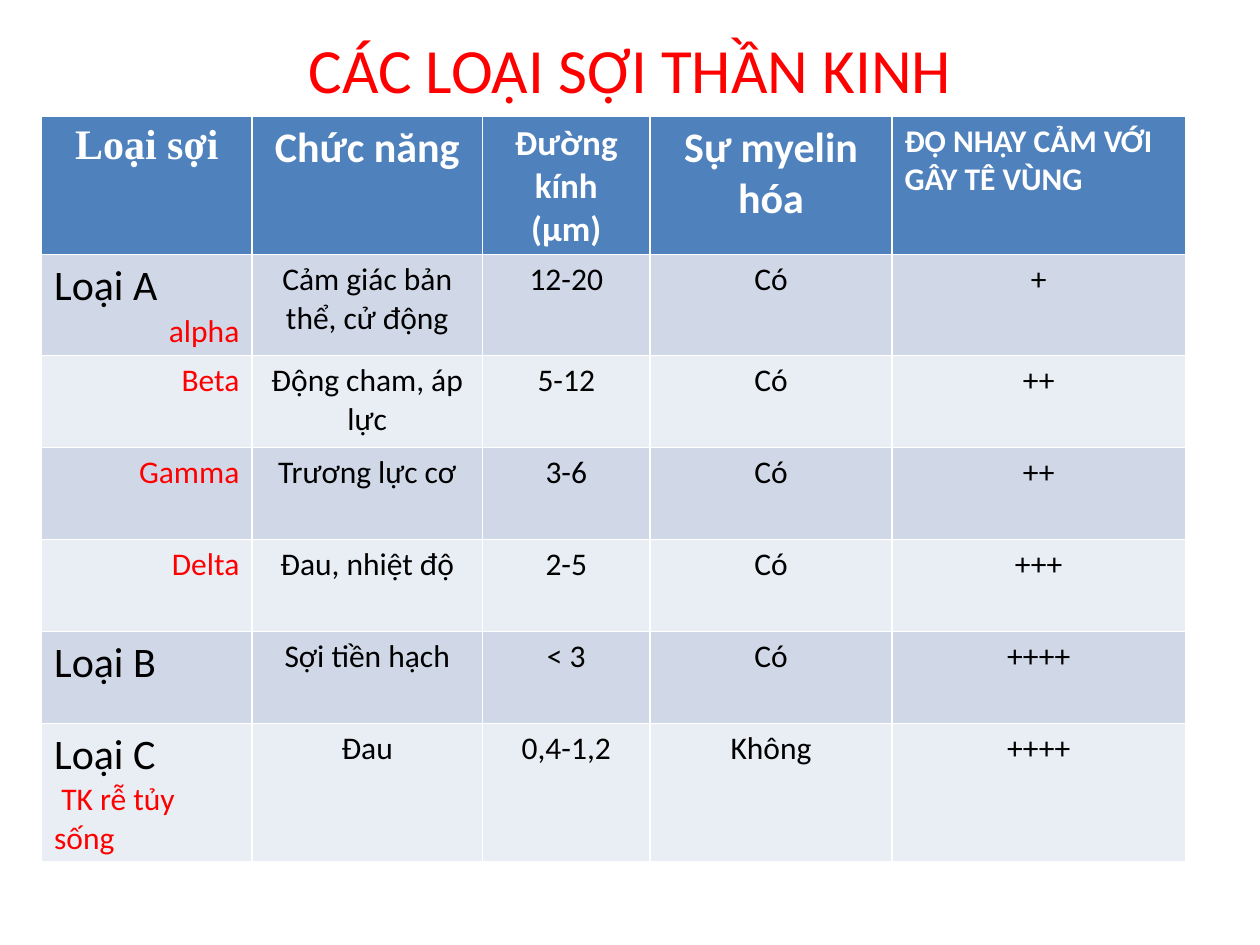
from pptx import Presentation
from pptx import util as u
from pptx.dml import color
from pptx.enum import text

LEFT, CENTER, RIGHT = text.PP_ALIGN.LEFT, text.PP_ALIGN.CENTER, text.PP_ALIGN.RIGHT
WHITE, BLACK, RED = "FFFFFF", "000000", "FF0000"
HEADER_FILL, BAND_FILLS = "4F81BD", ("D0D8E8", "E9EDF4")
COLUMN_WIDTHS = (1.67, 1.83, 1.33, 1.92, 2.33)
ROW_HEIGHTS = (1.08, 0.73, 0.73, 0.73, 0.73, 0.73, 0.67)

HEADERS = (
    ("Loại sợi", 24, CENTER, "Times New Roman"),
    ("Chức năng", 24, CENTER, "Calibri"),
    ("Đường kính\n(µm)", 20, CENTER, "Calibri"),
    ("Sự myelin hóa", 24, CENTER, "Calibri"),
    ("ĐỘ NHẠY CẢM VỚI GÂY TÊ VÙNG", 18, LEFT, "Calibri"),
)
FIBERS = (
    ("Loại A", "alpha", RIGHT, "Cảm giác bản thể, cử động", "12-20", "Có", "+"),
    ("", "Beta", RIGHT, "Động cham, áp lực", "5-12", "Có", "++"),
    ("", "Gamma", RIGHT, "Trương lực cơ", "3-6", "Có", "++"),
    ("", "Delta", RIGHT, "Đau, nhiệt độ", "2-5", "Có", "+++"),
    ("Loại B", "", LEFT, "Sợi tiền hạch", "< 3", "Có", "++++"),
    ("Loại C", " TK rễ tủy sống", LEFT, "Đau", "0,4-1,2", "Không", "++++"),
)


def rgb(hex_string):
    return color.RGBColor.from_string(hex_string)


def format_paragraph(paragraph, size, hex_string, alignment=CENTER, font="Calibri", bold=False):
    paragraph.alignment = alignment
    for run in paragraph.runs:
        run.font.size = u.Pt(size)
        run.font.name = font
        run.font.bold = bold
        run.font.color.rgb = rgb(hex_string)


def fill_cell(cell, content, fill):
    cell.text_frame.text = content
    cell.fill.solid()
    cell.fill.fore_color.rgb = rgb(fill)
    return cell.text_frame.paragraphs


def add_title(slide, left, top, width, height):
    box = slide.shapes.add_textbox(*map(u.Inches, (left, top, width, height)))
    frame = box.text_frame
    frame.word_wrap = True
    frame.vertical_anchor = text.MSO_ANCHOR.MIDDLE
    frame.text = "CÁC LOẠI SỢI THẦN KINH"
    format_paragraph(frame.paragraphs[0], 36, RED)


def fill_header(table):
    for column, (content, size, alignment, font) in enumerate(HEADERS):
        for paragraph in fill_cell(table.cell(0, column), content, HEADER_FILL):
            format_paragraph(paragraph, size, WHITE, alignment, font, True)


def fill_fiber(table, row, fiber):
    group, subtype, alignment, *values = fiber
    fill = BAND_FILLS[(row - 1) % 2]
    styles = [style for style in ((group, 24, BLACK, LEFT), (subtype, 18, RED, alignment)) if style[0]]
    content = "\n".join(style[0] for style in styles)
    for paragraph, style in zip(fill_cell(table.cell(row, 0), content, fill), styles):
        format_paragraph(paragraph, *style[1:])
    for column, value in enumerate(values, 1):
        format_paragraph(fill_cell(table.cell(row, column), value, fill)[0], 18, BLACK)


def add_fiber_table(slide, left, top, width, height):
    box = map(u.Inches, (left, top, width, height))
    table = slide.shapes.add_table(len(ROW_HEIGHTS), len(COLUMN_WIDTHS), *box).table
    for column, column_width in zip(table.columns, COLUMN_WIDTHS):
        column.width = u.Inches(column_width * width / sum(COLUMN_WIDTHS))
    for row, row_height in zip(table.rows, ROW_HEIGHTS):
        row.height = u.Inches(row_height)
    fill_header(table)
    for row, fiber in enumerate(FIBERS, 1):
        fill_fiber(table, row, fiber)


def main():
    presentation = Presentation()
    presentation.slide_width = u.Inches(10)
    presentation.slide_height = u.Inches(7.5)
    slide = presentation.slides.add_slide(presentation.slide_layouts[6])
    add_title(slide, 0.5, -0.08, 9, 1.25)
    add_fiber_table(slide, 0.33, 0.92, 9.08, sum(ROW_HEIGHTS))
    presentation.save("out.pptx")


if __name__ == "__main__":
    main()
